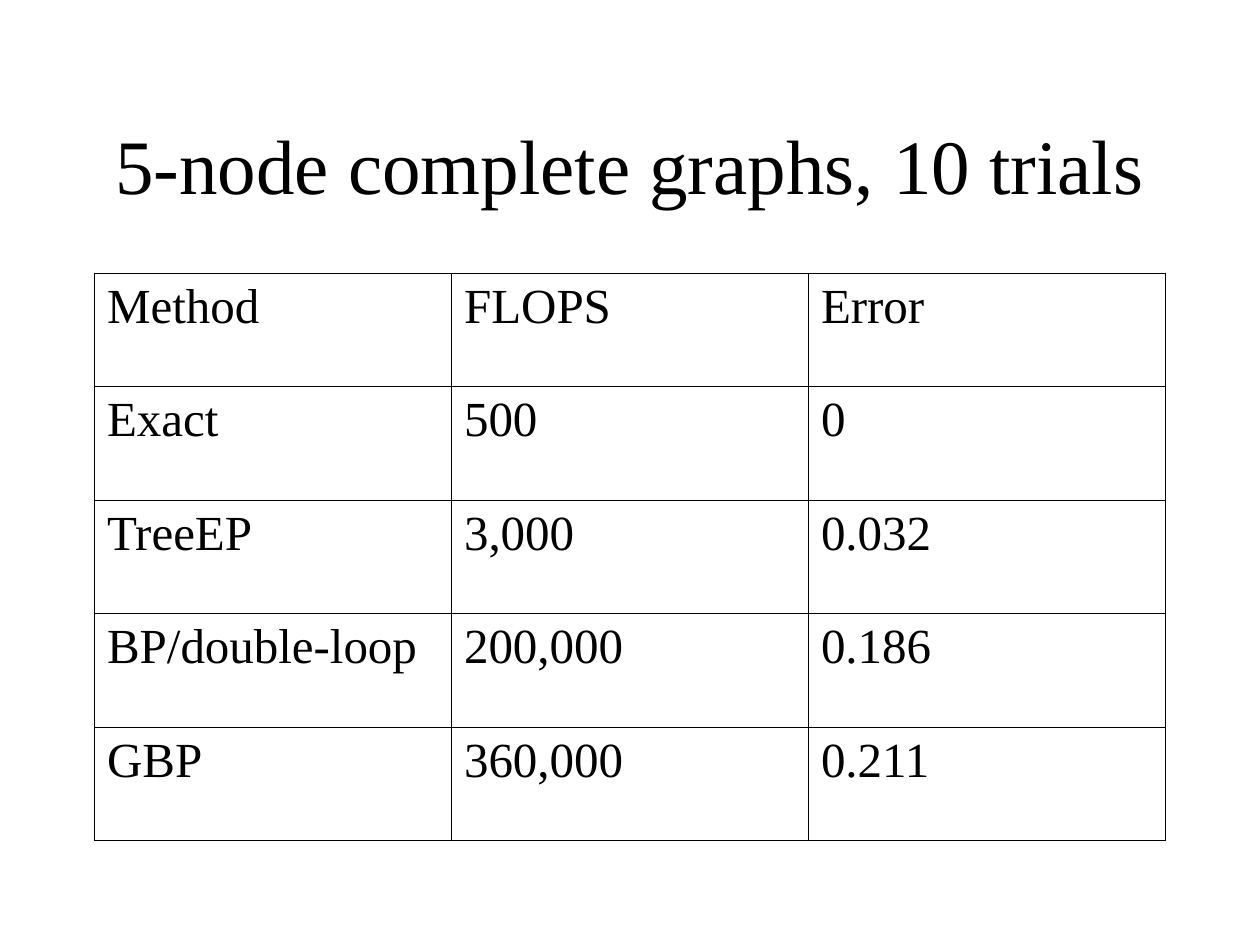
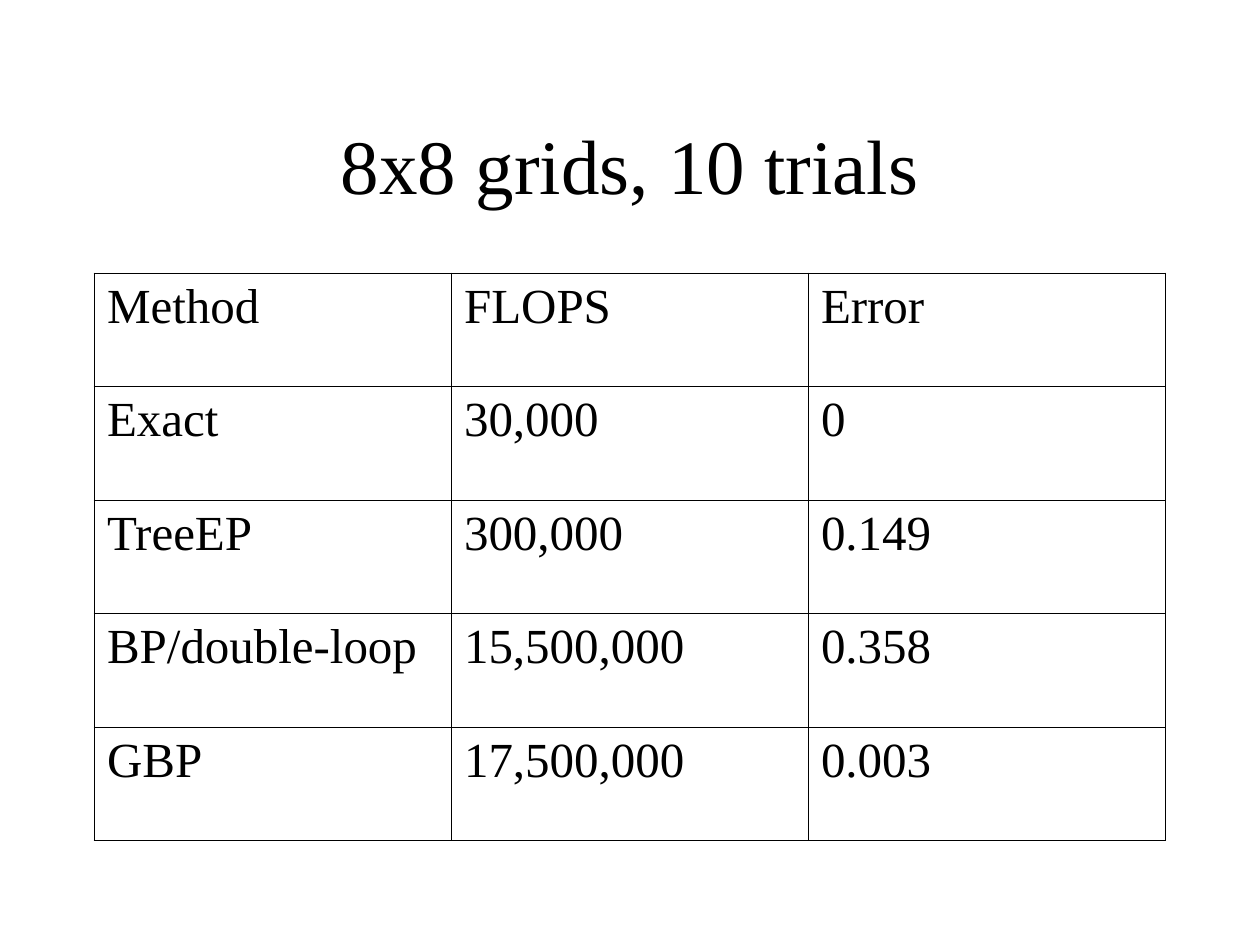
"""Builds two slides that compare inference methods by cost and error."""
from dataclasses import dataclass

from lxml.etree import SubElement
from pptx import Presentation
from pptx.dml.color import RGBColor
from pptx.enum.text import MSO_ANCHOR, PP_ALIGN
from pptx.oxml.ns import qn
from pptx.util import Inches, Pt


@dataclass(frozen=True)
class Theme:
    """Colours, type and line widths shared by the slides."""
    font: str = "Times New Roman"
    ink: str = "000000"
    paper: str = "FFFFFF"
    title_size: int = 44
    cell_size: int = 28
    cell_space: int = 7
    outer_line: float = 1.08
    inner_line: float = 0.45


THEME = Theme()
LEFT, WIDTH = 0.75, 8.5
TITLE_TOP, TITLE_HEIGHT = 0.67, 1.25
TABLE_TOP, ROW_HEIGHT = 2.17, 0.9
HEADER = ("Method", "FLOPS", "Error")
RESULTS = {
    "5-node complete graphs, 10 trials": (
        ("Exact", "500", "0"),
        ("TreeEP", "3,000", "0.032"),
        ("BP/double-loop", "200,000", "0.186"),
        ("GBP", "360,000", "0.211"),
    ),
    "8x8 grids, 10 trials": (
        ("Exact", "30,000", "0"),
        ("TreeEP", "300,000", "0.149"),
        ("BP/double-loop", "15,500,000", "0.358"),
        ("GBP", "17,500,000", "0.003"),
    ),
}


def write_text(frame, text, *, size, align=PP_ALIGN.LEFT, space_before=0):
    """Put one formatted paragraph into a text frame."""
    paragraph = frame.paragraphs[0]
    paragraph.alignment = align
    paragraph.space_before = Pt(space_before)
    span = paragraph.add_run()
    span.text = text
    span.font.name = THEME.font
    span.font.size = Pt(size)
    span.font.bold = False
    span.font.color.rgb = RGBColor.from_string(THEME.ink)


def add_title(page, text):
    """Add the centred slide title."""
    box = page.shapes.add_textbox(Inches(LEFT), Inches(TITLE_TOP),
                                  Inches(WIDTH), Inches(TITLE_HEIGHT))
    frame = box.text_frame
    frame.word_wrap = True
    frame.vertical_anchor = MSO_ANCHOR.MIDDLE
    write_text(frame, text, size=THEME.title_size, align=PP_ALIGN.CENTER)


def set_borders(cell, outer_sides):
    """Draw the four cell borders, heavier on the outer sides."""
    properties = cell._tc.get_or_add_tcPr()
    for side in "LRTB":
        width = THEME.outer_line if side in outer_sides else THEME.inner_line
        line = SubElement(properties, qn(f"a:ln{side}"), w=str(Pt(width)))
        fill = SubElement(line, qn("a:solidFill"))
        SubElement(fill, qn("a:srgbClr"), val=THEME.ink)


def add_results_table(page, rows):
    """Add a ruled table with equal columns and equal rows."""
    row_count, column_count = len(rows), len(rows[0])
    table = page.shapes.add_table(
        row_count, column_count, Inches(LEFT), Inches(TABLE_TOP),
        Inches(WIDTH), Inches(ROW_HEIGHT * row_count)).table
    table.first_row = table.horz_banding = False
    for row_index, values in enumerate(rows):
        for column_index, value in enumerate(values):
            cell = table.cell(row_index, column_index)
            edges = {"L": column_index == 0,
                     "R": column_index == column_count - 1,
                     "T": row_index == 0,
                     "B": row_index == row_count - 1}
            set_borders(cell, [side for side, outer in edges.items() if outer])
            cell.fill.background()
            write_text(cell.text_frame, value, size=THEME.cell_size,
                       space_before=THEME.cell_space)


def add_results_page(deck, title, results):
    """Add one slide with a title and its results table."""
    page = deck.slides.add_slide(deck.slide_layouts[6])
    page.background.fill.solid()
    page.background.fill.fore_color.rgb = RGBColor.from_string(THEME.paper)
    add_title(page, title)
    add_results_table(page, (HEADER, *results))


def main():
    """Build and save the deck."""
    deck = Presentation()
    deck.slide_width, deck.slide_height = Inches(10), Inches(7.5)
    for title, results in RESULTS.items():
        add_results_page(deck, title, results)
    deck.save("out.pptx")


if __name__ == "__main__":
    main()
